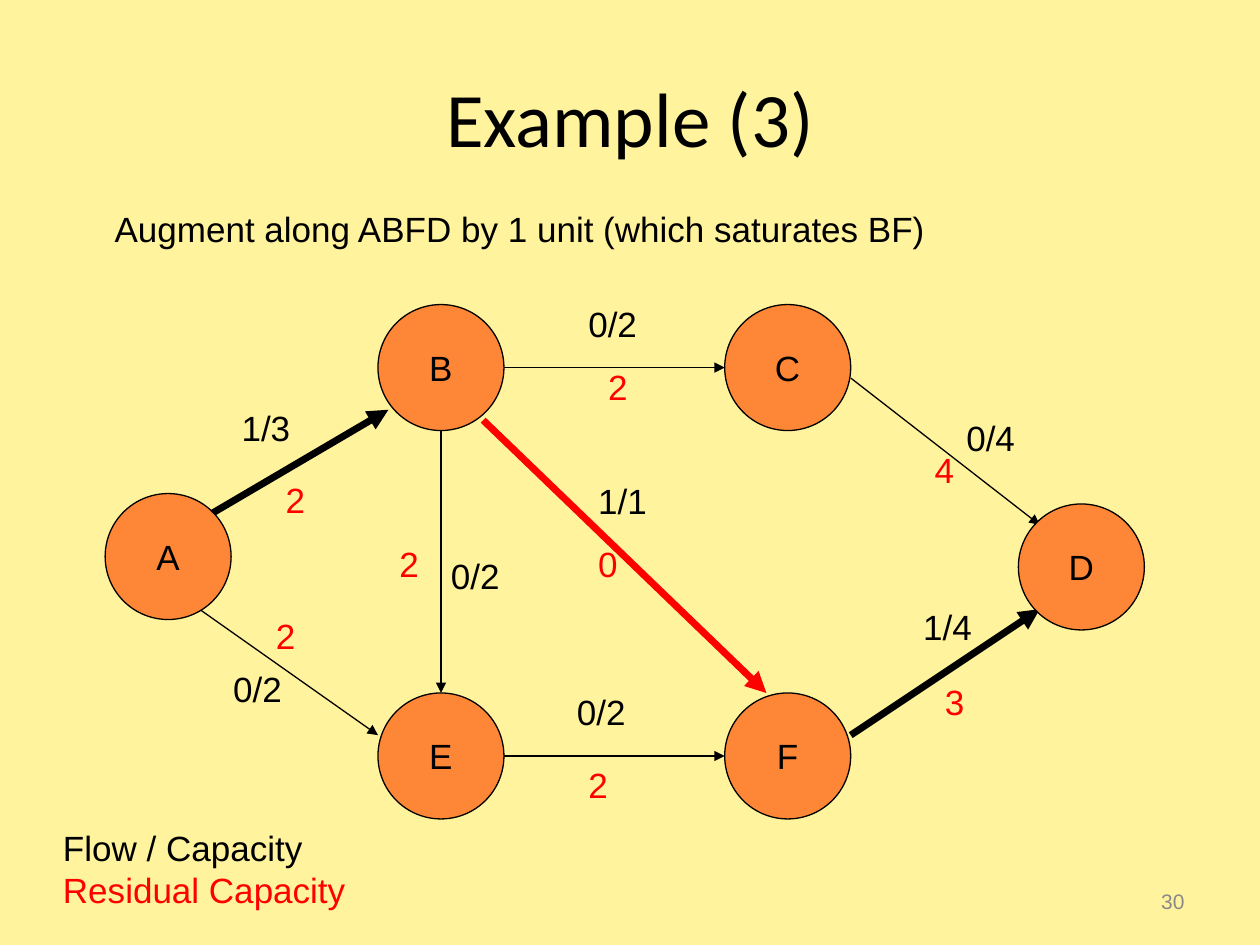
from lxml.etree import SubElement
from pptx import Presentation
from pptx.dml.color import RGBColor
from pptx.enum.shapes import MSO_CONNECTOR, MSO_SHAPE
from pptx.enum.text import MSO_ANCHOR, MSO_AUTO_SIZE, PP_ALIGN
from pptx.oxml.ns import qn
from pptx.util import Cm, Pt

BLACK, RED, ORANGE, GREY, CREAM = "000000", "FF0000", "FE8637", "898989", "FFF39D"

TITLE = "Example (3)"
STEP = "Augment along ABFD by 1 unit (which saturates BF)"
LEGEND = [("Flow / Capacity", BLACK), ("Residual Capacity", RED)]
PAGE = "30"

# Lengths in cm
RADIUS = 1.27
LEFT, RIGHT, TOP, BOTTOM = 8.89, 15.88, 7.41, 15.24
NODES = {  # name: centre
    "A": (3.39, 11.22), "B": (LEFT, TOP), "C": (RIGHT, TOP),
    "D": (21.8, 11.43), "F": (RIGHT, BOTTOM), "E": (LEFT, BOTTOM),
}
EDGES = [  # flow, capacity, start, end, flow label corner, residual label corner
    (1, 3, (4.24, 10.37), (7.83, 8.26), (4.62, 8.08), (5.51, 9.53)),
    (0, 2, (LEFT + RADIUS, TOP), (RIGHT - RADIUS, TOP), (11.61, 5.97), (12.01, 7.24)),
    (0, 4, (17.15, 7.62), (20.96, 10.58), (19.23, 8.28), (18.59, 8.92)),
    (0, 2, (4.02, 12.28), (7.62, 14.82), (4.45, 13.34), (5.31, 12.27)),
    (0, 2, (LEFT + RADIUS, BOTTOM), (RIGHT - RADIUS, BOTTOM), (11.38, 13.79), (11.61, 15.27)),
    (1, 4, (17.15, 14.82), (20.96, 12.28), (18.36, 12.09), (18.8, 13.59)),
    (1, 1, (9.74, 8.47), (15.45, 13.97), (11.81, 9.55), (11.81, 10.82)),
    (0, 2, (LEFT, TOP + RADIUS), (LEFT, BOTTOM - RADIUS), (8.84, 11.05), (7.8, 10.82)),
]


def rgb(color):
    return RGBColor.from_string(color)


def style(p, color=BLACK, size=20, font="Arial", align=PP_ALIGN.LEFT):
    p.alignment = align
    for r in p.runs:
        r.font.name, r.font.size = font, Pt(size)
        r.font.color.rgb = rgb(color)


def add_text(s, lines, x, y, w, h=1.12):
    """Add an unwrapped text box; lines holds (text, colour) pairs."""
    tf = s.shapes.add_textbox(Cm(x), Cm(y), Cm(w), Cm(h)).text_frame
    tf.word_wrap = False
    tf.auto_size = MSO_AUTO_SIZE.SHAPE_TO_FIT_TEXT
    tf.text = "\n".join(text for text, _ in lines)
    for p, (_, color) in zip(tf.paragraphs, lines):
        style(p, color)
    return tf


def add_arrow(s, start, end, color, width):
    line = s.shapes.add_connector(MSO_CONNECTOR.STRAIGHT, *map(Cm, start + end))
    line.line.color.rgb = rgb(color)
    line.line.width = Pt(width)
    SubElement(line.line._get_or_add_ln(), qn("a:tailEnd"), type="triangle")
    SubElement(line._element.spPr, qn("a:effectLst"))


def add_node(s, name, x, y):
    sp = s.shapes.add_shape(MSO_SHAPE.OVAL, Cm(x - RADIUS), Cm(y - RADIUS),
                            Cm(2 * RADIUS), Cm(2 * RADIUS))
    sp.shadow.inherit = False
    sp.fill.solid()
    sp.fill.fore_color.rgb = rgb(ORANGE)
    sp.line.color.rgb = rgb(BLACK)
    sp.line.width = Pt(0.75)
    tf = sp.text_frame
    tf.word_wrap = False
    tf.vertical_anchor = MSO_ANCHOR.MIDDLE
    tf.text = name
    style(tf.paragraphs[0], align=PP_ALIGN.CENTER)


def main():
    prs = Presentation()
    prs.slide_width, prs.slide_height = Cm(25.4), Cm(19.05)
    s = prs.slides.add_slide(prs.slide_layouts[5])
    s.background.fill.solid()
    s.background.fill.fore_color.rgb = rgb(CREAM)

    title = s.shapes.title
    title.left, title.top, title.width, title.height = map(Cm, (1.27, 0.76, 22.86, 3.18))
    title.text_frame.text = TITLE
    title.text_frame.vertical_anchor = MSO_ANCHOR.MIDDLE
    style(title.text_frame.paragraphs[0], size=44, font="Calibri", align=PP_ALIGN.CENTER)

    for flow, capacity, start, end, flow_at, residual_at in EDGES:
        residual = capacity - flow
        add_arrow(s, start, end, BLACK if residual else RED, 4 if flow else 0.75)
        add_text(s, [(f"{flow}/{capacity}", BLACK)], *flow_at, 1.52)
        add_text(s, [(str(residual), RED)], *residual_at, 0.89)

    for name, centre in NODES.items():
        add_node(s, name, *centre)

    add_text(s, [(STEP, BLACK)], 2.06, 4.06, 16.89)
    add_text(s, LEGEND, 1.02, 16.54, 6.2, 1.96)

    number = add_text(s, [(PAGE, GREY)], 18.21, 17.65, 5.92, 1.02)
    number.word_wrap = True
    number.auto_size = MSO_AUTO_SIZE.NONE
    number.vertical_anchor = MSO_ANCHOR.MIDDLE
    style(number.paragraphs[0], GREY, size=12, align=PP_ALIGN.RIGHT)

    prs.save("out.pptx")


if __name__ == "__main__":
    main()
